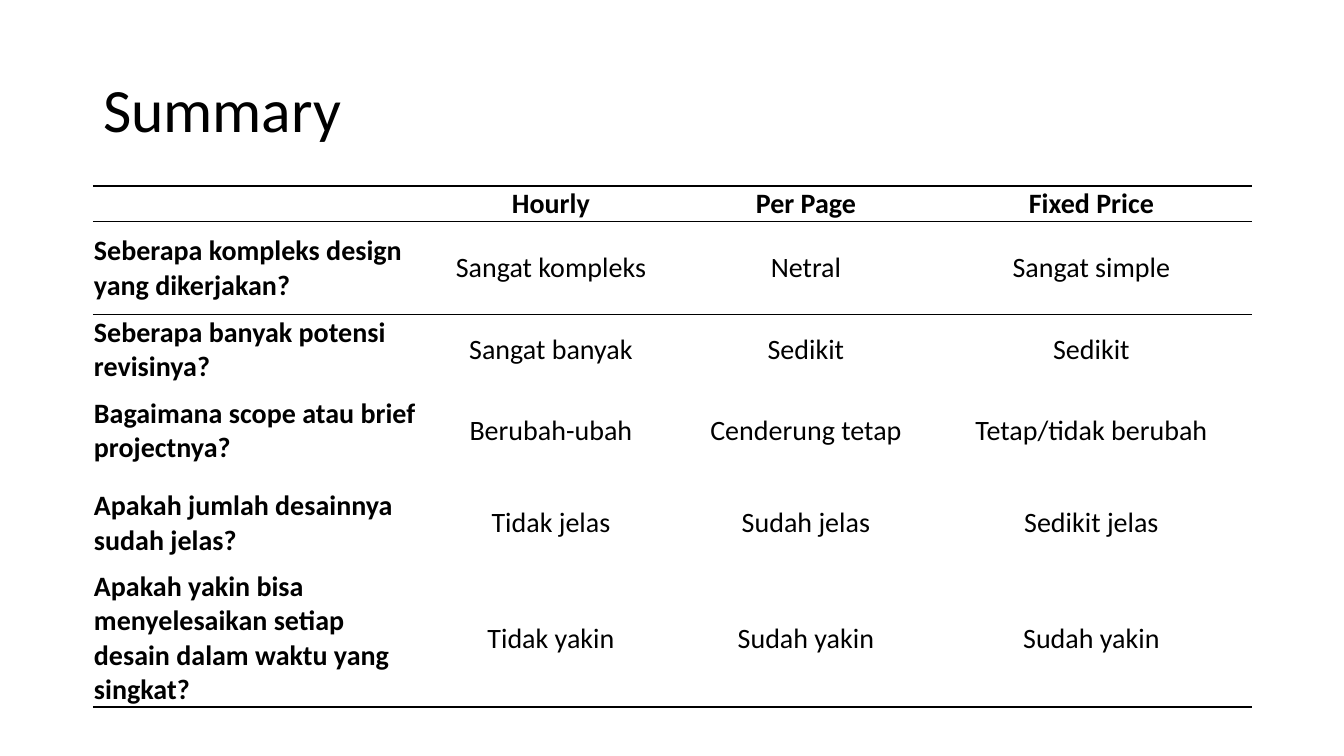
from lxml import etree
from pptx import Presentation
from pptx import util as u
from pptx.dml.color import RGBColor
from pptx.enum import text
from pptx.oxml import ns

PX = 914400 / 100.8
BLACK = RGBColor(0x00, 0x00, 0x00)
NO_STYLE_NO_GRID = "{2D5ABB26-0587-4C30-8999-92F81FD0307C}"
LEFT, TOP = 93, 186
COLUMN_WIDTHS = [328, 260, 250, 321]
ROW_HEIGHTS = [35, 93, 69, 93, 92, 138]
ROWS = [
    ["", "Hourly", "Per Page", "Fixed Price"],
    ["Seberapa kompleks design yang dikerjakan?", "Sangat kompleks", "Netral", "Sangat simple"],
    ["Seberapa banyak potensi revisinya?", "Sangat banyak", "Sedikit", "Sedikit"],
    ["Bagaimana scope atau brief projectnya?", "Berubah-ubah", "Cenderung tetap", "Tetap/tidak berubah"],
    ["Apakah jumlah desainnya sudah jelas?", "Tidak jelas", "Sudah jelas", "Sedikit jelas"],
    ["Apakah yakin bisa menyelesaikan setiap desain dalam waktu yang singkat?",
     "Tidak yakin", "Sudah yakin", "Sudah yakin"],
]
RULES = {0: ["a:lnT", "a:lnB"], 1: ["a:lnT"], len(ROWS) - 1: ["a:lnB"]}


def px(length):
    return u.Emu(round(length * PX))


def write(words, frame, size, bold=False, align=text.PP_ALIGN.LEFT, spacing=1.0):
    frame.word_wrap = True
    paragraph = frame.paragraphs[0]
    paragraph.text = words
    paragraph.alignment = align
    paragraph.line_spacing = spacing
    paragraph.font.name = "Calibri"
    paragraph.font.size = u.Pt(size)
    paragraph.font.bold = bold
    paragraph.font.color.rgb = BLACK


presentation = Presentation()
presentation.slide_width, presentation.slide_height = px(1344), px(756)
slide = presentation.slides.add_slide(presentation.slide_layouts[5])

title = slide.shapes.title
title.left, title.top, title.width, title.height = px(LEFT), px(40), px(1159), px(146)
title.text_frame.vertical_anchor = text.MSO_ANCHOR.MIDDLE
write("Summary", frame=title.text_frame, size=44, spacing=0.9)

table = slide.shapes.add_table(
    len(ROWS), len(COLUMN_WIDTHS), px(LEFT), px(TOP),
    px(sum(COLUMN_WIDTHS)), px(sum(ROW_HEIGHTS))).table
table.first_row = table.horz_banding = False
table._tbl.tblPr.find(ns.qn("a:tableStyleId")).text = NO_STYLE_NO_GRID
for column, width in zip(table.columns, COLUMN_WIDTHS):
    column.width = px(width)
for row, height in zip(table.rows, ROW_HEIGHTS):
    row.height = px(height)

for row_index, labels in enumerate(ROWS):
    for column_index, label in enumerate(labels):
        cell = table.cell(row_index, column_index)
        cell.margin_left = cell.margin_right = cell.margin_top = px(1)
        cell.margin_bottom = 0
        cell.vertical_anchor = text.MSO_ANCHOR.MIDDLE
        write(label, frame=cell.text_frame, size=20,
              bold=row_index == 0 or column_index == 0,
              align=text.PP_ALIGN.CENTER if column_index else text.PP_ALIGN.LEFT)
        properties = cell._tc.get_or_add_tcPr()
        for edge in RULES.get(row_index, []):
            line = etree.SubElement(properties, ns.qn(edge), w=str(u.Pt(1)))
            fill = etree.SubElement(line, ns.qn("a:solidFill"))
            etree.SubElement(fill, ns.qn("a:srgbClr"), val=str(BLACK))
        cell.fill.background()

presentation.save("out.pptx")
